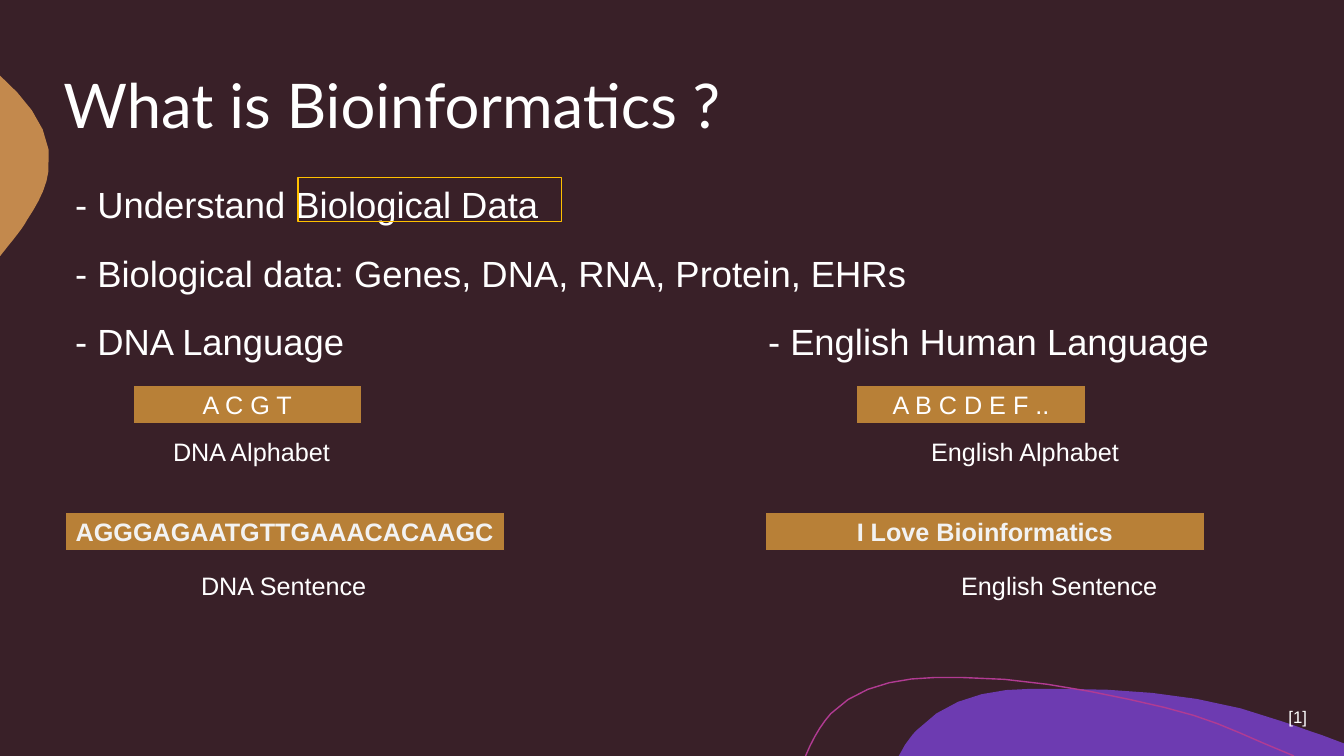
import pptx
import pptx.util
import pptx.dml.color
import pptx.enum.shapes
import pptx.enum.text
from lxml import etree

Pt = pptx.util.Pt
RGB = pptx.dml.color.RGBColor
ALIGN = pptx.enum.text.PP_ALIGN
ANCHOR = pptx.enum.text.MSO_ANCHOR
RECT = pptx.enum.shapes.MSO_SHAPE.RECTANGLE
A = "{http://schemas.openxmlformats.org/drawingml/2006/main}"

PLUM = RGB(0x39, 0x20, 0x28)
PURPLE = RGB(0x6D, 0x3B, 0xB1)
TAN = RGB(0xC3, 0x89, 0x4D)
PINK = RGB(0xB1, 0x3B, 0x93)
OCHRE = RGB(0xB8, 0x80, 0x37)
GOLD = RGB(0xFF, 0xC0, 0x00)
WHITE = RGB(0xFF, 0xFF, 0xFF)
PALE = RGB(0xF2, 0xF2, 0xF2)

# Each step is one point (a line) or three points (a Bézier curve).
HILL = [(117, 0), (170, 0, 225, 5, 274.5, 23.5), (284, 26.5, 292.5, 30, 302, 33),
        (318, 39), (318, 48), (0, 48), (4.5, 40), (7.5, 36, 10, 32, 13.5, 29),
        (34, 7, 65, 0, 94.5, 0)]
BULGE = [(0, 0), (21.6, 19.4, 38.9, 41.8, 34.6, 68.4),
         (33.1, 80.6, 26.6, 92.2, 19.4, 103),
         (17.3, 107.3, 12.2, 113.8, 5.8, 121.7), (0, 129)]
WAVE = [(0, 56), (5, 43.8, 11, 33.7, 18, 25.8), (37, 6.3, 65, 0.6, 91.7, 0),
        (112.6, 0), (160.8, 0, 217, 12, 256.6, 21.4),
        (295.5, 30.8, 307.7, 39.4, 348.8, 56)]

# Text, size, space before, indent
DNA = [
    ("- Understand Biological Data", 26, 0, 0),
    ("- Biological data: Genes, DNA, RNA, Protein, EHRs", 26, 10, 0),
    ("- DNA Language", 26, 10, 0),
    ("DNA Alphabet", 18, 47, 70),
    ("DNA Sentence", 18, 68.5, 90),
]
ENGLISH = [
    ("- English Human Language", 26, 0, 0),
    ("English Alphabet", 18, 47, 116.5),
    ("English Sentence", 18, 68.5, 138),
]
CHIPS = [
    ("A C G T", (95, 275, 163.4, 27.4), False),
    ("A B C D E F ..", (612, 275, 163.4, 27.4), False),
    ("AGGGAGAATGTTGAAACACAAGC", (46.4, 365.8, 314, 27.4), True),
    ("I Love Bioinformatics", (546.5, 365.8, 314, 27.4), True),
]


def trace(steps, count=5):
    """Turn line and curve steps into a list of points."""
    points = [steps[0]]
    for step in steps[1:]:
        if len(step) == 2:
            points.append(step)
            continue
        nodes = [points[-1], step[:2], step[2:4], step[4:]]
        for i in range(1, count + 1):
            t = i / count
            parts = [(1 - t) ** 3, 3 * t * (1 - t) ** 2, 3 * t * t * (1 - t), t ** 3]
            points.append(tuple(sum(w * n[k] for w, n in zip(parts, nodes))
                                for k in (0, 1)))
    return points


def draw_curve(slide, left, top, steps, fill=None, line=None):
    points = [(Pt(left + x), Pt(top + y)) for x, y in trace(steps)]
    pen = slide.shapes.build_freeform(*points[0])
    pen.add_line_segments(points[1:], close=fill is not None)
    paint(pen.convert_to_shape(), fill, line)


def paint(shape, fill, line):
    shape.shadow.inherit = False
    if fill is None:
        shape.fill.background()
    else:
        shape.fill.solid()
        shape.fill.fore_color.rgb = fill
    if line is None:
        shape.line.fill.background()
    else:
        shape.line.color.rgb = line
        shape.line.width = Pt(1)


def place(shape, box):
    shape.left, shape.top, shape.width, shape.height = map(Pt, box)


def style(para, size, color=WHITE, name="Arial", bold=False):
    font = para.font
    font.name, font.size, font.bold = name, Pt(size), bold
    font.color.rgb = color


def set_title(shape, box):
    place(shape, box)
    frame = shape.text_frame
    frame.text = "What is Bioinformatics ?"
    frame.vertical_anchor = ANCHOR.MIDDLE
    para = frame.paragraphs[0]
    para.alignment, para.line_spacing = ALIGN.LEFT, 0.9
    style(para, 44, name="Lato")


def set_list(shape, box, lines):
    place(shape, box)
    frame = shape.text_frame
    frame.auto_size = pptx.enum.text.MSO_AUTO_SIZE.NONE
    frame.text = "\n".join(line[0] for line in lines)
    for para, (_, size, gap, indent) in zip(frame.paragraphs, lines):
        para.line_spacing, para.space_before = 1.25, Pt(gap)
        props = para._p.get_or_add_pPr()
        props.set("marL", str(Pt(indent)))
        props.set("indent", "0")
        etree.SubElement(props, A + "buNone")
        style(para, size)


def add_chip(slide, text, box, bold):
    chip = slide.shapes.add_shape(RECT, *map(Pt, box))
    paint(chip, OCHRE, PLUM)
    frame = chip.text_frame
    frame.text = text
    frame.word_wrap = True
    frame.vertical_anchor = ANCHOR.MIDDLE
    para = frame.paragraphs[0]
    para.alignment = ALIGN.CENTER
    style(para, 18, PALE if bold else WHITE, bold=bold)


def add_cite(slide, box):
    frame = slide.shapes.add_textbox(*map(Pt, box)).text_frame
    frame.word_wrap = True
    frame.text = "[1]"
    style(frame.paragraphs[0], 12)


def main():
    deck = pptx.Presentation()
    deck.slide_width, deck.slide_height = Pt(960), Pt(540)
    slide = deck.slides.add_slide(deck.slide_layouts[3])
    slide.background.fill.solid()
    slide.background.fill.fore_color.rgb = PLUM
    title, left, right = slide.placeholders
    draw_curve(slide, 642, 492, HILL, fill=PURPLE)
    draw_curve(slide, 0, 54, BULGE, fill=TAN)
    draw_curve(slide, 575.4, 484, WAVE, line=PINK)
    for holder in (title, left, right):
        slide.shapes.element.append(holder.element)
    set_title(title, (38, 46, 840, 63.4))
    set_list(left, (46.4, 118.8, 840, 355), DNA)
    set_list(right, (541.4, 216.6, 345, 257.2), ENGLISH)
    paint(slide.shapes.add_shape(RECT, *map(Pt, (213, 126.7, 188, 31.7))), None, GOLD)
    for chip in CHIPS:
        add_chip(slide, *chip)
    add_cite(slide, (913.2, 501, 46, 21.6))
    deck.save("out.pptx")


if __name__ == "__main__":
    main()
